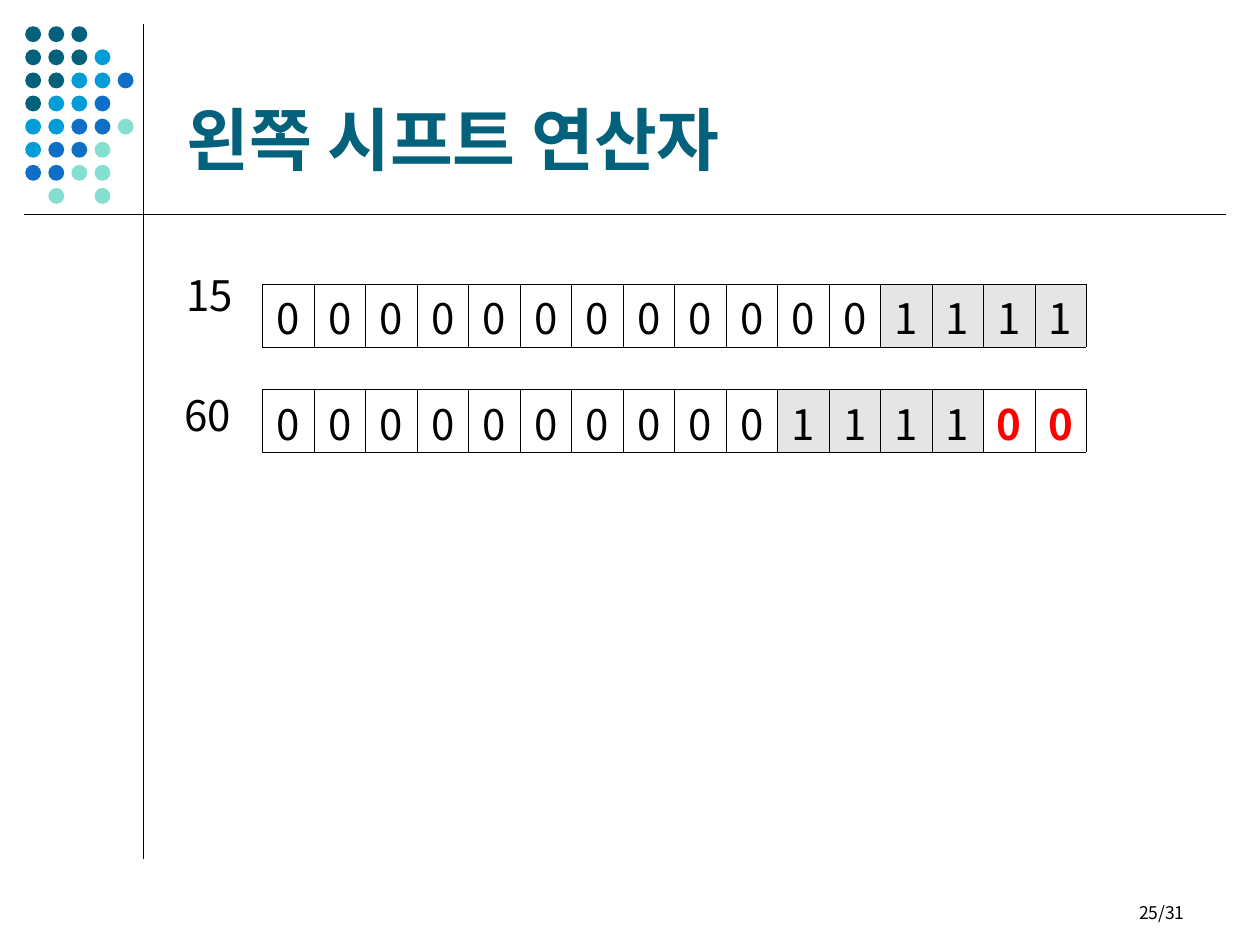
from lxml.etree import SubElement
from pptx import Presentation
from pptx.dml.color import RGBColor
from pptx.enum.shapes import MSO_CONNECTOR as Connector, MSO_SHAPE as Shape
from pptx.enum.text import MSO_ANCHOR as Anchor, PP_ALIGN as Align
from pptx.oxml.ns import qn
from pptx.util import Pt

BLACK, TEAL, SKY, BLUE, MINT = "000000", "04617B", "009DD9", "0F6FC6", "85DFD0"
GREY, RED = "E5E5E5", "FF0000"
BODY_FONT, TITLE_FONT = "Noto Sans CJK KR", "Noto Sans"


def color(value):
    return RGBColor.from_string(value)


def write(frame, text, size=24, ink=BLACK, bold=False, font=BODY_FONT, align=Align.LEFT):
    paragraph = frame.paragraphs[0]
    paragraph.alignment = align
    run = paragraph.add_run()
    run.text = text
    run.font.name = font
    run.font.size = Pt(size)
    run.font.bold = bold
    run.font.color.rgb = color(ink)
    SubElement(run.font._element, qn("a:ea"), typeface=BODY_FONT)


class Page:
    border_width = Pt(0.06)
    rule_width = Pt(0.75)

    def __init__(self, slide):
        self.slide = slide
        self.shapes = slide.shapes

    def rule(self, x1, y1, x2, y2):
        line = self.shapes.add_connector(Connector.STRAIGHT, Pt(x1), Pt(y1), Pt(x2), Pt(y2))
        line.line.color.rgb = color(BLACK)
        line.line.width = self.rule_width
        SubElement(line._element.spPr, qn("a:effectLst"))

    def dot(self, x, y, diameter, fill):
        dot = self.shapes.add_shape(Shape.OVAL, Pt(x), Pt(y), Pt(diameter), Pt(diameter))
        dot.shadow.inherit = False
        dot.fill.solid()
        dot.fill.fore_color.rgb = color(fill)
        dot.line.fill.background()

    def text(self, x, y, width, height, text, anchor=Anchor.MIDDLE, **style):
        frame = self.shapes.add_textbox(Pt(x), Pt(y), Pt(width), Pt(height)).text_frame
        frame.word_wrap = True
        frame.vertical_anchor = anchor
        write(frame, text, **style)

    def bits(self, x, y, width, height, digits, filled_in=0):
        count = len(digits)
        table = self.shapes.add_table(1, count, Pt(x), Pt(y), Pt(width), Pt(height)).table
        table.first_row = table.horz_banding = False
        for column in table.columns:
            column.width = Pt(width / count)
        for index, digit in enumerate(digits):
            cell = table.cell(0, index)
            cell.margin_top = cell.margin_bottom = 0
            cell.vertical_anchor = Anchor.BOTTOM
            self.border(cell)
            if digit == "1":
                cell.fill.solid()
                cell.fill.fore_color.rgb = color(GREY)
            else:
                cell.fill.background()
            is_new = index >= count - filled_in
            write(cell.text_frame, digit, ink=RED if is_new else BLACK, bold=is_new, align=Align.CENTER)

    def border(self, cell):
        properties = cell._tc.get_or_add_tcPr()
        for side in ("lnL", "lnR", "lnT", "lnB"):
            edge = SubElement(properties, qn(f"a:{side}"), w=str(self.border_width))
            SubElement(SubElement(edge, qn("a:solidFill")), qn("a:srgbClr"), val=BLACK)


def main():
    deck = Presentation()
    deck.slide_width, deck.slide_height = Pt(720), Pt(540)
    page = Page(deck.slides.add_slide(deck.slide_layouts[6]))

    page.rule(82, 14, 82, 491)
    dot_colors = {"T": TEAL, "S": SKY, "B": BLUE, "M": MINT}
    dot_rows = ("TTT", "TTTS", "TTSSB", "TSSB", "SSBBM", "SBBM", "BBMM", ".M.M")
    for row, pattern in enumerate(dot_rows):
        for column, key in enumerate(pattern):
            if key in dot_colors:
                page.dot(14.4 + 13.2 * column, 15 + 13.2 * row, 9.1, dot_colors[key])
    page.rule(14, 122.5, 700.5, 122.5)

    page.text(99.4, 15, 594, 90.8, "왼쪽 시프트 연산자", anchor=Anchor.BOTTOM,
              size=39, ink=TEAL, bold=True, font=TITLE_FONT)

    page.text(99.4, 150.5, 48.2, 36, "15 ")
    page.bits(150, 162.3, 470.9, 36, f"{15:016b}")
    page.text(92.9, 218.9, 74.2, 36, " 60 ")
    page.bits(150, 222.5, 470.9, 36, f"{15 << 2:016b}", filled_in=2)

    page.text(516.2, 511.9, 167.8, 15.8, "25/31", anchor=Anchor.TOP, size=10, align=Align.RIGHT)
    deck.save("out.pptx")


if __name__ == "__main__":
    main()
